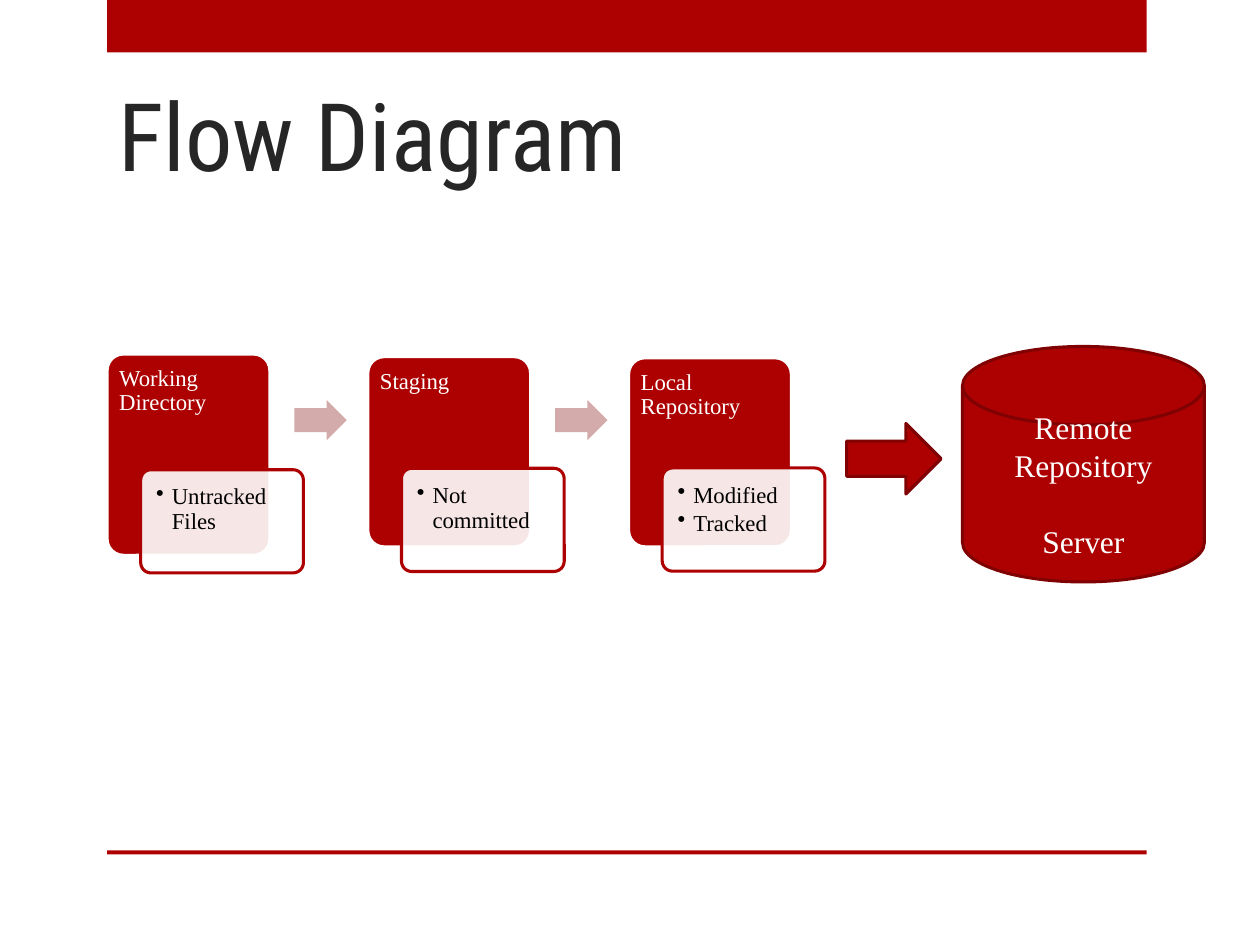
from dataclasses import dataclass

from pptx import Presentation
from pptx.dml.color import RGBColor
from pptx.enum.shapes import MSO_SHAPE
from pptx.enum.text import MSO_ANCHOR, PP_ALIGN
from pptx.oxml import parse_xml
from pptx.oxml.ns import nsdecls, qn
from pptx.util import Pt


@dataclass(frozen=True)
class Theme:
    red: str = "AD0101"
    dark_red: str = "800101"
    pale_red: str = "D3ABAB"
    white: str = "FFFFFF"
    black: str = "000000"
    title: str = "262626"
    head_font: str = "Roboto Condensed"
    body_font: str = "Times New Roman"
    title_size: float = 54
    body_size: float = 18
    card_size: float = 13
    outline: float = 1.75


T = Theme()


def rgb(value):
    return RGBColor.from_string(value)


def add_shape(s, kind, box, fill, line=None, adjust=(), alpha=None):
    """Add a preset shape; alpha is its opacity in percent."""
    sp = s.shapes.add_shape(kind, *map(Pt, box))
    sp.shadow.inherit = False
    sp.fill.solid()
    sp.fill.fore_color.rgb = rgb(fill)
    if alpha is not None:
        clr = sp._element.spPr.find(qn("a:solidFill")).find(qn("a:srgbClr"))
        clr.append(parse_xml(f'<a:alpha {nsdecls("a")} val="{alpha * 1000}"/>'))
    if line:
        sp.line.color.rgb = rgb(line)
        sp.line.width = Pt(T.outline)
    else:
        sp.line.fill.background()
    for i, value in enumerate(adjust):
        sp.adjustments[i] = value
    return sp


def set_text(sp, lines, *, size, color, font=T.body_font, align=PP_ALIGN.LEFT,
             anchor=MSO_ANCHOR.TOP, insets=(7.2, 3.6, 7.2, 3.6),
             spacing=1.0, gap=0, indent=None):
    """Write one paragraph per line; an indent makes them bullets."""
    tf = sp.text_frame
    tf.word_wrap = True
    tf.vertical_anchor = anchor
    tf.margin_left, tf.margin_top, tf.margin_right, tf.margin_bottom = map(Pt, insets)
    for i, line in enumerate(lines):
        p = tf.paragraphs[0] if i == 0 else tf.add_paragraph()
        p.alignment = align
        p.line_spacing = spacing
        p.space_before = Pt(gap if i else 0)
        if indent:
            pPr = p._p.get_or_add_pPr()
            pPr.set("marL", str(Pt(indent)))
            pPr.set("indent", str(-Pt(indent)))
            pPr.append(parse_xml(f'<a:buChar {nsdecls("a")} char="•"/>'))
        r = p.add_run()
        r.text = line
        r.font.name = font
        r.font.size = Pt(size)
        r.font.color.rgb = rgb(color)


def add_frame(s, x, width):
    """Top band and bottom rule."""
    for y, height in ((0, 30), (486, 2.2)):
        add_shape(s, MSO_SHAPE.RECTANGLE, (x, y, width, height), T.red)


def add_title(s, text, box):
    sp = s.shapes.title
    sp.left, sp.top, sp.width, sp.height = map(Pt, box)
    set_text(sp, [text], size=T.title_size, color=T.title, font=T.head_font,
             anchor=MSO_ANCHOR.BOTTOM)


def add_stage(s, box, heading, details, detail_top):
    """A red card with a translucent detail box over its lower right corner."""
    x, _, width, _ = box
    card = add_shape(s, MSO_SHAPE.ROUNDED_RECTANGLE, box, T.red, T.white, [0.1])
    set_text(card, [heading], size=T.card_size, color=T.white, spacing=0.9,
             insets=(4.2, 4.5, 4.2, 3.6))
    detail = add_shape(s, MSO_SHAPE.ROUNDED_RECTANGLE,
                       (x + 19.2, detail_top, width, 59), T.white, T.red, [0.1], alpha=90)
    set_text(detail, details, size=T.card_size, color=T.black, spacing=0.9,
             insets=(7.2,) * 4, gap=2, indent=9)


def add_stages(s, x, step, stages):
    for i, (top, height, detail_top, heading, details) in enumerate(stages):
        left = x + i * step
        add_stage(s, (left, top, 93, height), heading, details, detail_top)
        if i < len(stages) - 1:
            add_shape(s, MSO_SHAPE.RIGHT_ARROW, (left + 107, 228.6, 30, 23),
                      T.pale_red, adjust=[0.6, 0.5])


def add_remote(s, box, lines):
    """The remote store and the arrow that leads to it."""
    x, y, _, _ = box
    disk = add_shape(s, MSO_SHAPE.FLOWCHART_MAGNETIC_DISK, box, T.red, T.dark_red)
    set_text(disk, lines, size=T.body_size, color=T.white, align=PP_ALIGN.CENTER,
             anchor=MSO_ANCHOR.MIDDLE, gap=21.7)
    add_shape(s, MSO_SHAPE.RIGHT_ARROW, (x - 66.2, y + 44, 54, 40.3), T.red, T.dark_red)


def main():
    prs = Presentation()
    prs.slide_width, prs.slide_height = Pt(720), Pt(540)
    s = prs.slides.add_slide(prs.slide_layouts[5])
    add_frame(s, 61.2, 594)
    add_title(s, "Flow Diagram", (60.5, 34.6, 548, 77.8))
    add_stages(s, 61.2, 149, [
        (202.3, 115, 268.4, "Working Directory", ["Untracked Files"]),
        (203.8, 108.7, 267.6, "Staging", ["Not committed"]),
        (204.5, 108, 267.4, "Local Repository", ["Modified", "Tracked"]),
    ])
    add_remote(s, (550, 198, 138.2, 134.6), ["Remote Repository", "Server"])
    prs.save("out.pptx")


if __name__ == "__main__":
    main()
